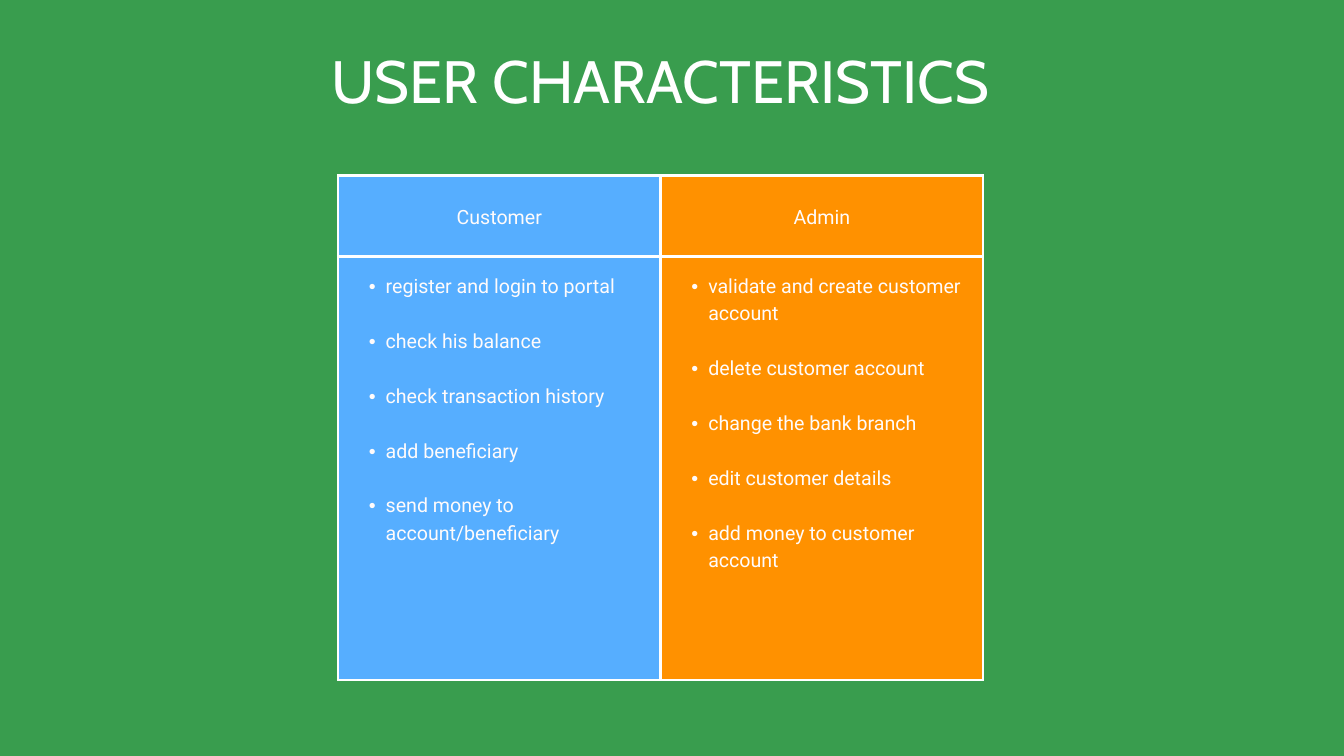
from lxml.etree import SubElement
from pptx import Presentation
from pptx.dml.color import RGBColor
from pptx.enum.text import MSO_ANCHOR, MSO_AUTO_SIZE, PP_ALIGN
from pptx.oxml import parse_xml
from pptx.oxml.ns import nsdecls, qn
from pptx.util import Inches, Pt

COLORS = {
    "background": "399D4E",
    "customer": "56AEFF",
    "admin": "FF9100",
    "cell_text": "FFFBFB",
    "white": "FFFFFF",
}

USERS = [
    ("Customer", "customer", [
        "register and login to portal",
        "check his balance",
        "check transaction history",
        "add beneficiary",
        "send money to account/beneficiary",
    ]),
    ("Admin", "admin", [
        "validate and create customer account",
        "delete customer account",
        "change the bank branch",
        "edit customer details",
        "add money to customer account",
    ]),
]


class SlideBuilder:
    title_font, title_size, title_line = "Cabin", Pt(64), Pt(89.6)
    body_font, body_size, body_line = "Roboto", Pt(21), Pt(29.4)
    cell_margin = Inches(0.21)
    border_width = Pt(3)

    def __init__(self, presentation):
        self.slide = presentation.slides.add_slide(presentation.slide_layouts[5])
        self.fill(self.slide.background.fill, "background")

    def fill(self, fill, color):
        fill.solid()
        fill.fore_color.rgb = RGBColor.from_string(COLORS[color])

    def set_font(self, paragraph, name, size, color):
        paragraph.font.name = name
        paragraph.font.size = size
        paragraph.font.color.rgb = RGBColor.from_string(COLORS[color])

    def set_margins(self, box, margin):
        box.margin_left = box.margin_right = margin
        box.margin_top = box.margin_bottom = margin

    def title(self, text, left, top, width, height):
        title = self.slide.shapes.title
        title.left, title.top = Inches(left), Inches(top)
        title.width, title.height = Inches(width), Inches(height)
        frame = title.text_frame
        frame.text = text
        frame.word_wrap = True
        frame.auto_size = MSO_AUTO_SIZE.NONE
        frame.vertical_anchor = MSO_ANCHOR.TOP
        self.set_margins(frame, 0)
        paragraph = frame.paragraphs[0]
        paragraph.alignment = PP_ALIGN.CENTER
        paragraph.line_spacing = self.title_line
        paragraph.space_before = Pt(0)
        self.set_font(paragraph, self.title_font, self.title_size, "white")

    def table(self, users, left, top, column_width, row_heights):
        frame = self.slide.shapes.add_table(
            len(row_heights), len(users), Inches(left), Inches(top),
            Inches(column_width * len(users)), Inches(sum(row_heights)))
        table = frame.table
        table.first_row = table.horz_banding = False
        for row, height in zip(table.rows, row_heights):
            row.height = Inches(height)
        for index, (heading, color, tasks) in enumerate(users):
            table.columns[index].width = Inches(column_width)
            self.heading_cell(table.cell(0, index), heading, color)
            self.list_cell(table.cell(1, index), tasks, color)

    def style_cell(self, cell, color):
        self.set_margins(cell, self.cell_margin)
        self.fill(cell.fill, color)
        properties = cell._tc.get_or_add_tcPr()
        for position, side in enumerate("LRTB"):
            properties.insert(position, parse_xml(
                f'<a:ln{side} {nsdecls("a")} w="{self.border_width}"><a:solidFill>'
                f'<a:srgbClr val="{COLORS["white"]}"/></a:solidFill></a:ln{side}>'))

    def cell_paragraph(self, paragraph):
        paragraph.line_spacing = self.body_line
        self.set_font(paragraph, self.body_font, self.body_size, "cell_text")

    def heading_cell(self, cell, text, color):
        self.style_cell(cell, color)
        cell.text = text
        cell.vertical_anchor = MSO_ANCHOR.MIDDLE
        paragraph = cell.text_frame.paragraphs[0]
        paragraph.alignment = PP_ALIGN.CENTER
        self.cell_paragraph(paragraph)

    def list_cell(self, cell, items, color):
        self.style_cell(cell, color)
        cell.text = "\n".join(items)
        for index, paragraph in enumerate(cell.text_frame.paragraphs):
            paragraph.level = 1
            if index:
                paragraph.space_before = self.body_line
            self.add_bullet(paragraph)
            self.cell_paragraph(paragraph)

    def add_bullet(self, paragraph):
        properties = paragraph._p.get_or_add_pPr()
        properties.set("marL", str(Inches(0.5)))
        properties.set("indent", str(Inches(-0.25)))
        SubElement(properties, qn("a:buFont"), typeface="Arial")
        SubElement(properties, qn("a:buChar"), char="•")


def main():
    presentation = Presentation()
    presentation.slide_width = Inches(20)
    presentation.slide_height = Inches(11.25)
    builder = SlideBuilder(presentation)
    builder.table(USERS, left=5.03, top=2.61, column_width=4.8, row_heights=[1.21, 6.3])
    builder.title("USER CHARACTERISTICS", 4.41, 0.47, 10.83, 1.2)
    presentation.save("out.pptx")


if __name__ == "__main__":
    main()
